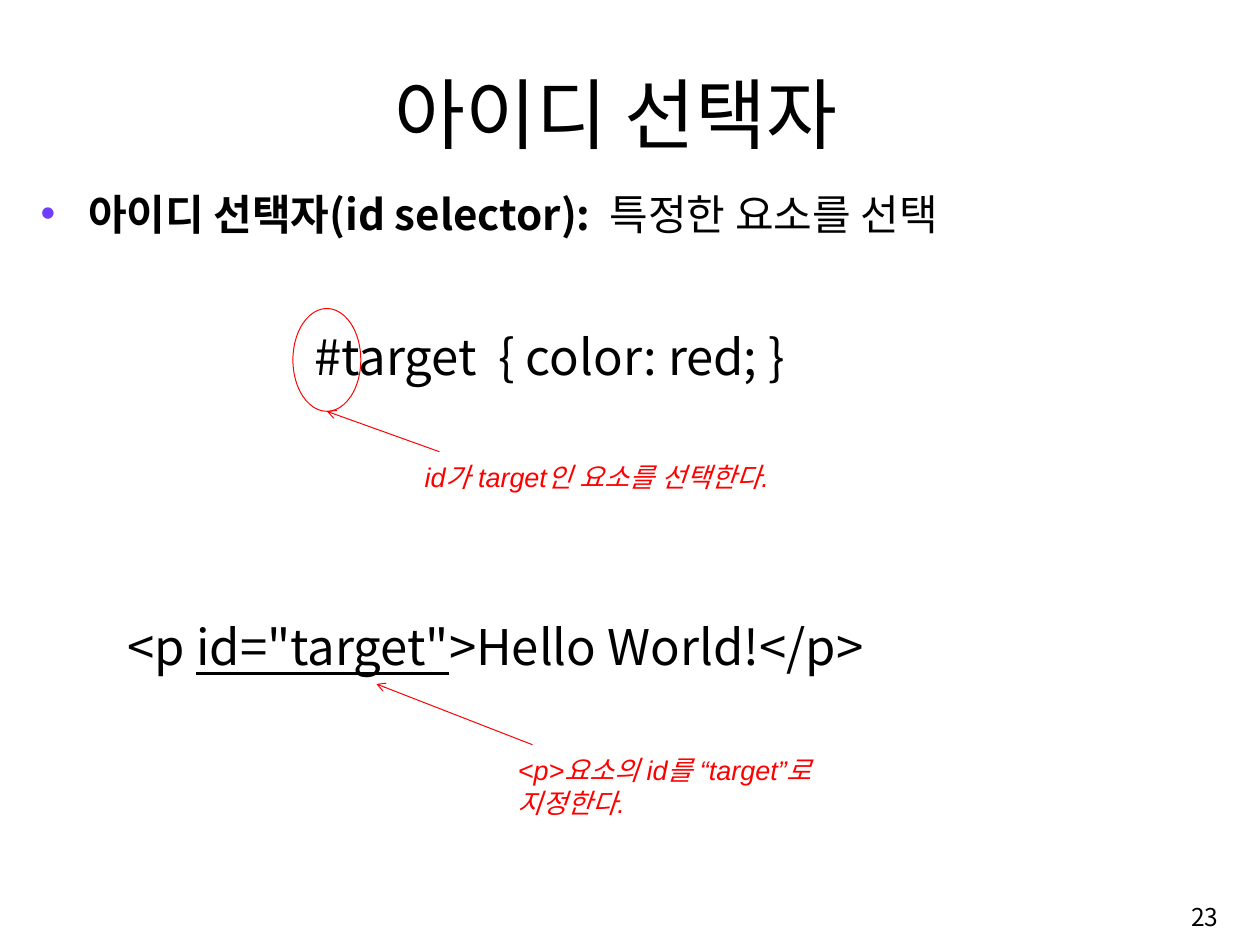
from lxml.etree import SubElement
from pptx import Presentation
from pptx.dml.color import RGBColor
from pptx.enum.shapes import MSO_CONNECTOR, MSO_SHAPE
from pptx.enum.text import MSO_ANCHOR, PP_ALIGN
from pptx.oxml.ns import qn
from pptx.util import Inches, Pt

BLACK = RGBColor(0x00, 0x00, 0x00)
RED = RGBColor(0xFF, 0x00, 0x00)
VIOLET = RGBColor(0x70, 0x3D, 0xFF)
SANS, ARIAL = "Noto Sans CJK KR", "Arial"
LEFT, MID, RIGHT = PP_ALIGN.LEFT, PP_ALIGN.CENTER, PP_ALIGN.RIGHT

# Content: boxes are left, top, width, height in percent of the slide
# Runs are text and style: "b" bold, "u" underlined, "" plain
TITLE = ((8.08, 6.26, 81.68, 11.09), 57.2, [("아이디 선택자", "")])
BODY = ((2.46, 19.4, 94.84, 72.48), 31.2,
        [("아이디 선택자(id selector):  ", "b"), ("특정한 요소를 선택", "")])
RULE = ((24.17, 34.09, 40.34, 7.29), 36.4, [("#target  { color: red; }", "")])
TAG = ((9.39, 64.78, 62.66, 7.29), 36.4,
       [("<p ", ""), ('id="target"', "u"), (">Hello World!</p>", "")])
PAGE = ((76.83, 93.94, 20.63, 6.16), 18.2, [("23", "")])
RING = (23.25, 32.65, 5.39, 10.88)

# Notes: left, top, text, arrow tip
NOTES = [
    (32.95, 48.25, "id가 target인 요소를 선택한다.", (RING[0] + RING[2] / 2, RING[1] + RING[3])),
    (40.34, 79.26, "<p>요소의 id를 “target”로 지정한다.", (29.87, 72.38)),
]
NOTE_W, NOTE_H = 28.8, 7.6
TAIL_DX, TAIL_DY = 1.92, -0.45

deck = Presentation()
deck.slide_width, deck.slide_height = Inches(12.99), Inches(9.74)
slide = deck.slides.add_slide(deck.slide_layouts[6])
shapes = slide.shapes


def place(*spots):
    """Turn percent pairs of x and y into slide lengths."""
    sides = (deck.slide_width, deck.slide_height)
    return [int(sides[i % 2] * spot / 100) for i, spot in enumerate(spots)]


def add_text(box, size, runs, align=LEFT, anchor=MSO_ANCHOR.TOP,
             font=SANS, color=BLACK, italic=False):
    frame = shapes.add_textbox(*place(*box)).text_frame
    frame.word_wrap = True
    frame.vertical_anchor = anchor
    para = frame.paragraphs[0]
    para.alignment = align
    for text, style in runs:
        run = para.add_run()
        run.text = text
        face = run.font
        face.name, face.size, face.color.rgb = font, Pt(size), color
        face.bold, face.underline, face.italic = style == "b", style == "u", italic
        SubElement(run._r.get_or_add_rPr(), qn("a:ea")).set("typeface", font)
    return para


def add_bullet(para, mark, color, indent):
    props = para._p.get_or_add_pPr()
    props.set("marL", str(indent))
    props.set("indent", str(-indent))
    tint = SubElement(props, qn("a:buClr"))
    SubElement(tint, qn("a:srgbClr")).set("val", str(color))
    SubElement(props, qn("a:buFont")).set("typeface", ARIAL)
    SubElement(props, qn("a:buChar")).set("char", mark)


def add_arrow(start, tip):
    arrow = shapes.add_connector(MSO_CONNECTOR.STRAIGHT, *place(*start, *tip))
    arrow.line.color.rgb, arrow.line.width = RED, Pt(0.75)
    SubElement(arrow.line._get_or_add_ln(), qn("a:tailEnd")).set("type", "arrow")
    SubElement(arrow._element.spPr, qn("a:effectLst"))


# Title and bullet
add_text(*TITLE, align=MID, anchor=MSO_ANCHOR.BOTTOM)
add_bullet(add_text(*BODY), "•", VIOLET, Inches(0.49))

# Code lines, with a ring round the hash sign
add_text(*RULE)
ring = shapes.add_shape(MSO_SHAPE.OVAL, *place(*RING))
ring.shadow.inherit = False
ring.fill.background()
ring.line.color.rgb, ring.line.width = RED, Pt(0.75)
add_text(*TAG)

# Notes with their arrows
for left, top, text, tip in NOTES:
    add_text((left, top, NOTE_W, NOTE_H), 20, [(text, "")],
             font=ARIAL, color=RED, italic=True)
    add_arrow((left + TAIL_DX, top + TAIL_DY), tip)

# Page number
add_text(*PAGE, align=RIGHT, anchor=MSO_ANCHOR.MIDDLE)

deck.save("out.pptx")
